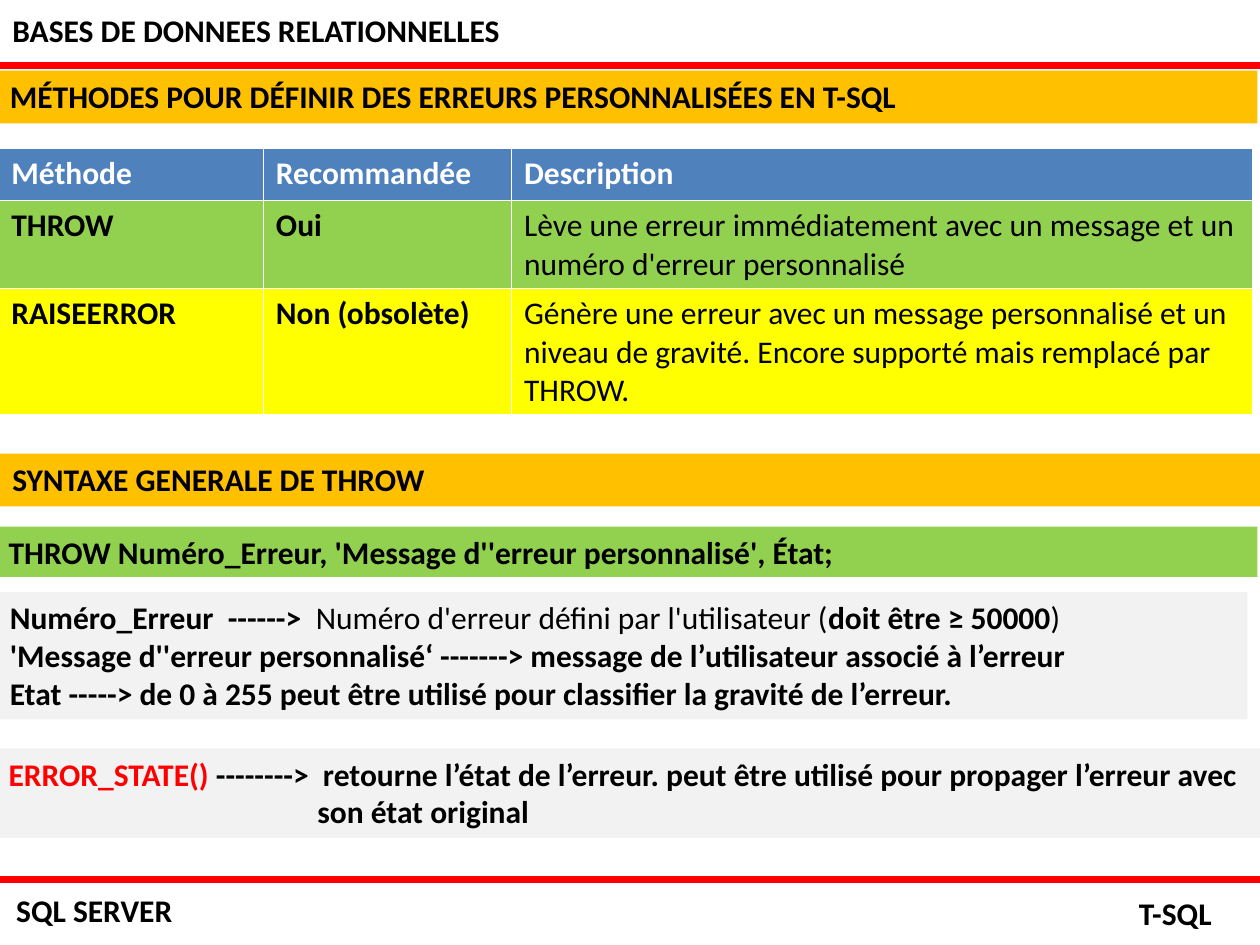
from pptx import Presentation
from pptx.dml.color import RGBColor
from pptx.enum.shapes import MSO_CONNECTOR as Connector, MSO_SHAPE as Shape
from pptx.enum.text import MSO_ANCHOR as Anchor, PP_ALIGN as Align
from pptx.oxml.ns import qn
from pptx.util import Inches, Pt
from lxml.etree import SubElement

BLACK = RGBColor(0x00, 0x00, 0x00)
WHITE = RGBColor(0xFF, 0xFF, 0xFF)
RED = RGBColor(0xFF, 0x00, 0x00)
ORANGE = RGBColor(0xFF, 0xC0, 0x00)
GREEN = RGBColor(0x92, 0xD0, 0x50)
YELLOW = RGBColor(0xFF, 0xFF, 0x00)
BLUE = RGBColor(0x4F, 0x81, 0xBD)
GREY = RGBColor(0xF2, 0xF2, 0xF2)


class SlideWriter:
    font_name = "Calibri"
    font_size = Pt(18)

    def __init__(self, page):
        self.page = page

    def style(self, para, color=BLACK, bold=True):
        para.alignment = Align.LEFT
        para.font.name = self.font_name
        para.font.size = self.font_size
        para.font.bold = bold
        para.font.color.rgb = color

    def rule(self, y):
        line = self.page.shapes.add_connector(
            Connector.STRAIGHT, Inches(0), Inches(y), Inches(10), Inches(y))
        line.line.color.rgb = RED
        line.line.width = Pt(4.5)
        SubElement(line._element.spPr, qn("a:effectLst"))

    def label(self, text, left, top, width):
        box = self.page.shapes.add_textbox(
            Inches(left), Inches(top), Inches(width), Inches(0.4))
        box.text_frame.word_wrap = False
        para = box.text_frame.paragraphs[0]
        para.text = text
        self.style(para)

    def panel(self, lines, left, top, width, height, fill):
        box = self.page.shapes.add_shape(
            Shape.RECTANGLE, Inches(left), Inches(top), Inches(width), Inches(height))
        box.shadow.inherit = False
        box.fill.solid()
        box.fill.fore_color.rgb = fill
        box.line.fill.background()
        frame = box.text_frame
        frame.word_wrap = True
        frame.vertical_anchor = Anchor.TOP
        for index, line in enumerate(lines):
            para = frame.add_paragraph() if index else frame.paragraphs[0]
            self.style(para)
            if isinstance(line, str):
                para.text = line
                continue
            for text, color, bold in line:
                span = para.add_run()
                span.text = text
                span.font.color.rgb = color
                span.font.bold = bold
        return frame

    def table(self, rows, fills, left, top, widths, heights):
        grid = self.page.shapes.add_table(
            len(rows), len(widths), Inches(left), Inches(top),
            Inches(sum(widths)), Inches(sum(heights))).table
        for column, width in zip(grid.columns, widths):
            column.width = Inches(width)
        for r, (row, fill, height) in enumerate(zip(rows, fills, heights)):
            grid.rows[r].height = Inches(height)
            for c, text in enumerate(row):
                cell = grid.cell(r, c)
                cell.fill.solid()
                cell.fill.fore_color.rgb = fill
                para = cell.text_frame.paragraphs[0]
                para.text = text
                self.style(para, BLACK if r else WHITE, r == 0 or c < 2)


def main():
    deck = Presentation()
    deck.slide_width = Inches(10)
    deck.slide_height = Inches(7.5)
    writer = SlideWriter(deck.slides.add_slide(deck.slide_layouts[6]))

    for y in (0.52, 6.98):
        writer.rule(y)
    writer.label("BASES DE DONNEES RELATIONNELLES", 0, 0.04, 4.11)
    writer.label("SQL SERVER", 0.03, 7.02, 1.45)
    writer.label("T-SQL", 8.94, 7.05, 0.8)

    writer.panel(["MÉTHODES POUR DÉFINIR DES ERREURS PERSONNALISÉES EN T-SQL"],
                 -0.02, 0.56, 10, 0.42, ORANGE)
    writer.table(
        [["Méthode", "Recommandée", "Description"],
         ["THROW", "Oui",
          "Lève une erreur immédiatement avec un message et un numéro d'erreur personnalisé"],
         ["RAISEERROR", "Non (obsolète)",
          "Génère une erreur avec un message personnalisé et un niveau de gravité. "
          "Encore supporté mais remplacé par THROW."]],
        [BLUE, GREEN, YELLOW], -0.01, 1.18, [2.1, 1.97, 5.88], [0.41, 0.7, 1])

    writer.panel(["THROW Numéro_Erreur, 'Message d''erreur personnalisé', État;"],
                 -0.03, 4.18, 10.01, 0.4, GREEN)
    writer.panel(["SYNTAXE GENERALE DE THROW"], 0, 3.6, 10, 0.42, ORANGE)
    writer.panel(
        [[("Numéro_Erreur  ------>  ", BLACK, True),
          ("Numéro d'erreur défini par l'utilisateur (", BLACK, False),
          ("doit être ≥ 50000", BLACK, True),
          (")", BLACK, False)],
         "'Message d''erreur personnalisé‘ -------> message de l’utilisateur associé à l’erreur",
         "Etat -----> de 0 à 255 peut être utilisé pour classifier la gravité de l’erreur."],
        -0.02, 4.7, 9.92, 1.01, GREY)
    state = writer.panel(
        [[("ERROR_STATE() ", RED, True),
          ("-------->  retourne l’état de l’erreur. peut être utilisé pour propager "
           "l’erreur avec", BLACK, True)],
         "son état original"],
        -0.03, 5.94, 10.09, 0.71, GREY)
    state.paragraphs[1]._p.get_or_add_pPr().set("marL", str(Inches(2.45)))

    deck.save("out.pptx")


if __name__ == "__main__":
    main()
